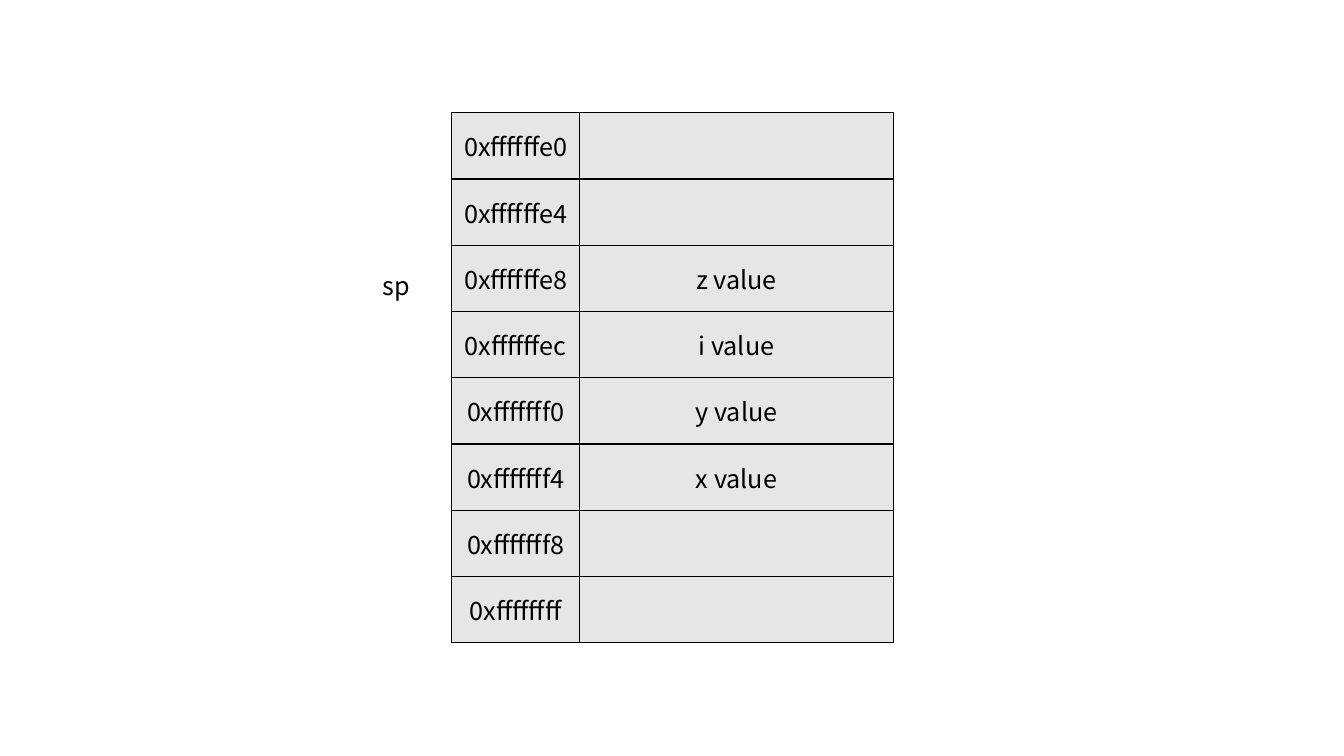
from lxml.etree import SubElement
from pptx import Presentation
from pptx.dml.color import RGBColor
from pptx.enum.text import MSO_ANCHOR, MSO_AUTO_SIZE, PP_ALIGN
from pptx.oxml.ns import qn
from pptx.util import Cm, Pt

STACK = [
    ("0xffffffe0", ""),
    ("0xffffffe4", ""),
    ("0xffffffe8", "z value"),
    ("0xffffffec", "i value"),
    ("0xfffffff0", "y value"),
    ("0xfffffff4", "x value"),
    ("0xfffffff8", ""),
    ("0xffffffff", ""),
]
POINTER = "sp"

BLACK = RGBColor(0x00, 0x00, 0x00)
LIGHT_GRAY = RGBColor(0xE7, 0xE6, 0xE6)
FONT_NAME = "Noto Sans CJK KR"

TABLE_LEFT, TABLE_TOP = Cm(11.38), Cm(2.84)
COLUMN_WIDTHS = [Cm(3.23), Cm(7.9)]
ROW_HEIGHT = Cm(1.67)


def write_text(text_frame, text):
    """Write one centred black run into the frame."""
    paragraph = text_frame.paragraphs[0]
    paragraph.alignment = PP_ALIGN.CENTER
    if text:
        run = paragraph.add_run()
        run.text = text
        run.font.name = FONT_NAME
        run.font.size = Pt(18)
        run.font.color.rgb = BLACK


def format_cell(cell):
    """Give the cell thin black borders and a light gray fill."""
    properties = cell._tc.get_or_add_tcPr()
    for side in ("a:lnL", "a:lnR", "a:lnT", "a:lnB"):
        line = SubElement(properties, qn(side), w=str(Pt(1)))
        fill = SubElement(line, qn("a:solidFill"))
        SubElement(fill, qn("a:srgbClr"), val=str(BLACK))
    cell.fill.solid()
    cell.fill.fore_color.rgb = LIGHT_GRAY
    cell.vertical_anchor = MSO_ANCHOR.MIDDLE


def add_stack_table(slide):
    """Add the table of stack addresses and their values."""
    table = slide.shapes.add_table(
        len(STACK), len(COLUMN_WIDTHS), TABLE_LEFT, TABLE_TOP,
        sum(COLUMN_WIDTHS), ROW_HEIGHT * len(STACK)).table
    table.first_row = False
    table.horz_banding = False
    for column, width in zip(table.columns, COLUMN_WIDTHS):
        column.width = width
    for row, texts in zip(table.rows, STACK):
        row.height = ROW_HEIGHT
        for cell, text in zip(row.cells, texts):
            format_cell(cell)
            write_text(cell.text_frame, text)


def add_pointer_label(slide):
    """Add the stack pointer label beside the table."""
    label = slide.shapes.add_textbox(Cm(8.71), Cm(6.68), Cm(2.54), Cm(1.02))
    label.text_frame.word_wrap = True
    label.text_frame.auto_size = MSO_AUTO_SIZE.SHAPE_TO_FIT_TEXT
    write_text(label.text_frame, POINTER)


def main():
    """Build the stack slide and save it."""
    presentation = Presentation()
    presentation.slide_width = Cm(33.87)
    presentation.slide_height = Cm(19.05)
    slide = presentation.slides.add_slide(presentation.slide_layouts[6])
    add_stack_table(slide)
    add_pointer_label(slide)
    presentation.save("out.pptx")


if __name__ == "__main__":
    main()
